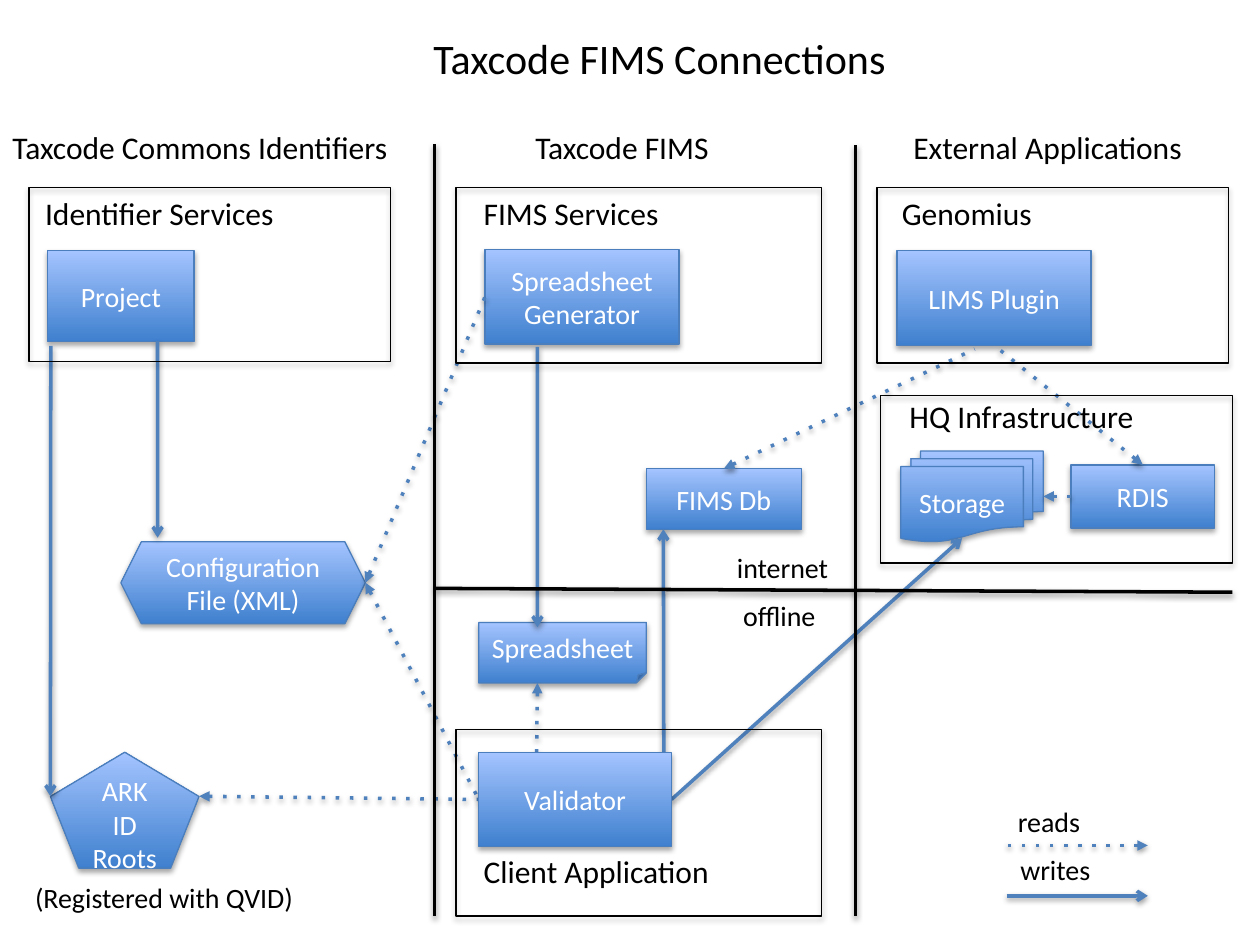
from lxml import etree
from pptx import Presentation
from pptx import util as u
from pptx.dml.color import RGBColor
from pptx.enum import shapes, text
from pptx.oxml.ns import qn

FONT, BLACK, WHITE, BLUE, EDGE = "Calibri", "000000", "FFFFFF", "4F81BD", "4B7EBC"
DARK, LIGHT = "3F80CE", "A4C4FF"
KIND = shapes.MSO_SHAPE

TITLE = ("Taxcode FIMS Connections", (3.34, 0.21, 3.83, 0.5))
HEADING_TOP, SERVICE_TOP = 0.97, 1.49

FRAMES = [
    (0.23, SERVICE_TOP, 2.87, 1.38),
    (3.62, SERVICE_TOP, 2.9, 1.39),
    (6.96, SERVICE_TOP, 2.79, 1.39),
    (6.99, 3.14, 2.79, 1.33),
    (3.62, 5.79, 2.9, 1.48),
]
LABELS = {
    18: [
        ("Taxcode Commons Identifiers", 0, HEADING_TOP, 3.22),
        ("Taxcode FIMS", 4.15, HEADING_TOP, 1.6),
        ("External Applications", 7.15, HEADING_TOP, 2.36),
        ("Identifier Services", 0.26, SERVICE_TOP, 2.04),
        ("FIMS Services", 3.74, SERVICE_TOP, 1.6),
        ("Genomius", 7.06, SERVICE_TOP, 1.3),
        ("HQ Infrastructure", 7.12, 3.1, 2.04),
        ("Client Application", 3.74, 6.71, 2.01),
    ],
    16: [
        ("internet", 5.75, 4.32, 0.94),
        ("offline", 5.8, 4.7, 0.78),
        ("reads", 7.98, 6.34, 0.71),
        ("writes", 8, 6.72, 0.77),
        ("(Registered with QVID)", 0.18, 6.94, 2.36),
    ],
}
LABEL_HEIGHT = {18: 0.4, 16: 0.37}

NODES = {
    "config": ("Configuration File (XML)", KIND.HEXAGON, (0.96, 4.3, 1.94, 0.65)),
    "sheet": ("Spreadsheet", KIND.FOLDED_CORNER, (3.8, 4.94, 1.33, 0.48)),
    "storage": ("Storage", KIND.FLOWCHART_MULTIDOCUMENT, (7.15, 3.58, 1.13, 0.72)),
    "rcis": ("RDIS", KIND.RECTANGLE, (8.5, 3.69, 1.14, 0.5)),
    "generator": ("Spreadsheet Generator", KIND.RECTANGLE, (3.85, 1.98, 1.54, 0.75)),
    "db": ("FIMS Db", KIND.RECTANGLE, (5.13, 3.72, 1.23, 0.48)),
    "project": ("Project", KIND.RECTANGLE, (0.38, 1.99, 1.16, 0.72)),
    "plugin": ("LIMS Plugin", KIND.RECTANGLE, (7.12, 1.99, 1.54, 0.75)),
    "roots": ("ARK\nID\nRoots", KIND.REGULAR_PENTAGON, (0.4, 5.97, 1.18, 0.92)),
    "validator": ("Validator", KIND.RECTANGLE, (3.8, 5.97, 1.53, 0.75)),
}
READS = [
    (("config", 1, 0.5), ("generator", 0, 0.5)),
    (("config", 1, 0.5), ("validator", 0, 0.5)),
    (("sheet", 0.35, 1), ("validator", 0.3, 0)),
    (("storage", 1, 0.5), ("rcis", 0, 0.5)),
    (("db", 0.5, 0), ("plugin", 0.4, 1.04)),
    (("rcis", 0.5, 0), ("plugin", 0.5, 1)),
    (("roots", 1, 0.38), ("validator", 0, 0.5)),
    ((9.11, 6.71), (7.99, 6.71)),
]
WRITES = [
    (("validator", 0.96, 0.2), ("db", 0.11, 1)),
    (("validator", 1, 0.5), ("storage", 0.43, 0.96)),
    (("project", 0.75, 1), ("config", 0.15, -0.05)),
    (("generator", 0.27, 1.03), ("sheet", 0.35, 0.08)),
    (("project", 0.02, 1.05), ("roots", 0, 0.38)),
    ((7.99, 7.11), (9.11, 7.11)),
]
DIVIDERS = [
    ((3.45, 4.67), (9.78, 4.7)),
    ((3.45, 7.27), (3.45, 1.14)),
    ((6.79, 7.27), (6.79, 1.15)),
]


def color(code):
    return RGBColor.from_string(code)


def inches(values):
    return [u.Inches(value) for value in values]


def point(spot):
    if len(spot) == 2:
        return spot
    name, across, down = spot
    left, top, width, height = NODES[name][2]
    return left + across * width, top + down * height


def add_shadow(item, distance, opacity):
    properties = item._element.spPr
    for old in properties.findall(qn("a:effectLst")):
        properties.remove(old)
    effects = etree.SubElement(properties, qn("a:effectLst"))
    shadow = etree.SubElement(effects, qn("a:outerShdw"), blurRad="40000",
                              dist=str(distance), dir="5400000", rotWithShape="0")
    tone = etree.SubElement(shadow, qn("a:srgbClr"), val=BLACK)
    etree.SubElement(tone, qn("a:alpha"), val=str(opacity * 1000))


def write(box, words, size, tone, align):
    box.text_frame.text = words
    for para in box.text_frame.paragraphs:
        para.alignment = align
        para.font.name, para.font.size = FONT, u.Pt(size)
        para.font.color.rgb = color(tone)


def fit(box):
    box.text_frame.word_wrap = False
    box.text_frame.auto_size = text.MSO_AUTO_SIZE.SHAPE_TO_FIT_TEXT
    box.text_frame.vertical_anchor = text.MSO_ANCHOR.TOP


def add_box(kind, place, edge):
    box = slide.shapes.add_shape(kind, *inches(place))
    box.line.color.rgb, box.line.width = color(edge), u.Pt(0.75)
    box.fill.background()
    add_shadow(box, 23000, 35)
    return box


def add_node(words, kind, place):
    box = add_box(kind, place, EDGE)
    box.fill.gradient()
    box.fill.gradient_angle = 90
    for stop, tone in zip(box.fill.gradient_stops, (DARK, LIGHT)):
        stop.color.rgb = color(tone)
    box.text_frame.vertical_anchor = text.MSO_ANCHOR.MIDDLE
    write(box, words, 16, WHITE, text.PP_ALIGN.CENTER)


def add_line(start, end, tone, dash=None, ending=None, arrow=None):
    line = slide.shapes.add_connector(shapes.MSO_CONNECTOR.STRAIGHT,
                                      *inches(point(start) + point(end)))
    line.line.color.rgb, line.line.width = color(tone), u.Pt(2)
    stroke = line.line._get_or_add_ln()
    if dash:
        etree.SubElement(stroke, qn("a:prstDash"), val=dash)
    if ending:
        etree.SubElement(stroke, qn(ending), type=arrow)
    add_shadow(line, 20000, 38)


deck = Presentation()
deck.slide_width, deck.slide_height = inches((10, 7.5))
slide = deck.slides.add_slide(deck.slide_layouts[5])

title = slide.shapes.title
title.left, title.top, title.width, title.height = inches(TITLE[1])
write(title, TITLE[0], 24, BLACK, text.PP_ALIGN.LEFT)
fit(title)

*back_nodes, front_node = NODES.values()
for node in back_nodes:
    add_node(*node)
for start, end in READS:
    add_line(start, end, BLUE, "dot", "a:headEnd", "triangle")
for start, end in WRITES:
    add_line(start, end, BLUE, None, "a:tailEnd", "arrow")
add_node(*front_node)
for frame in FRAMES:
    add_box(KIND.RECTANGLE, frame, BLACK)
for start, end in DIVIDERS:
    add_line(start, end, BLACK)
for size, labels in LABELS.items():
    for words, left, top, width in labels:
        label = slide.shapes.add_textbox(*inches((left, top, width, LABEL_HEIGHT[size])))
        write(label, words, size, BLACK, text.PP_ALIGN.LEFT)
        fit(label)

deck.save("out.pptx")
